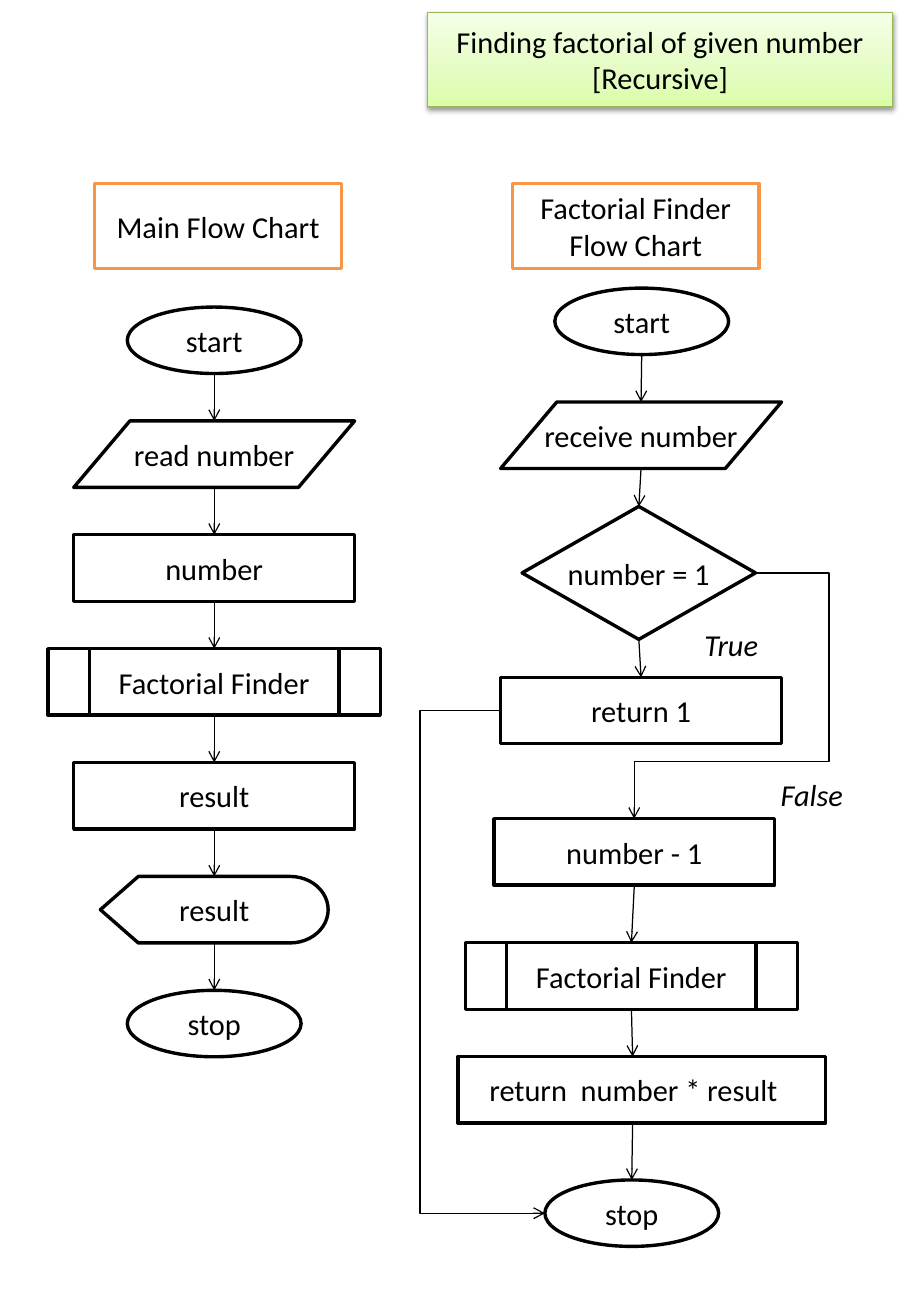
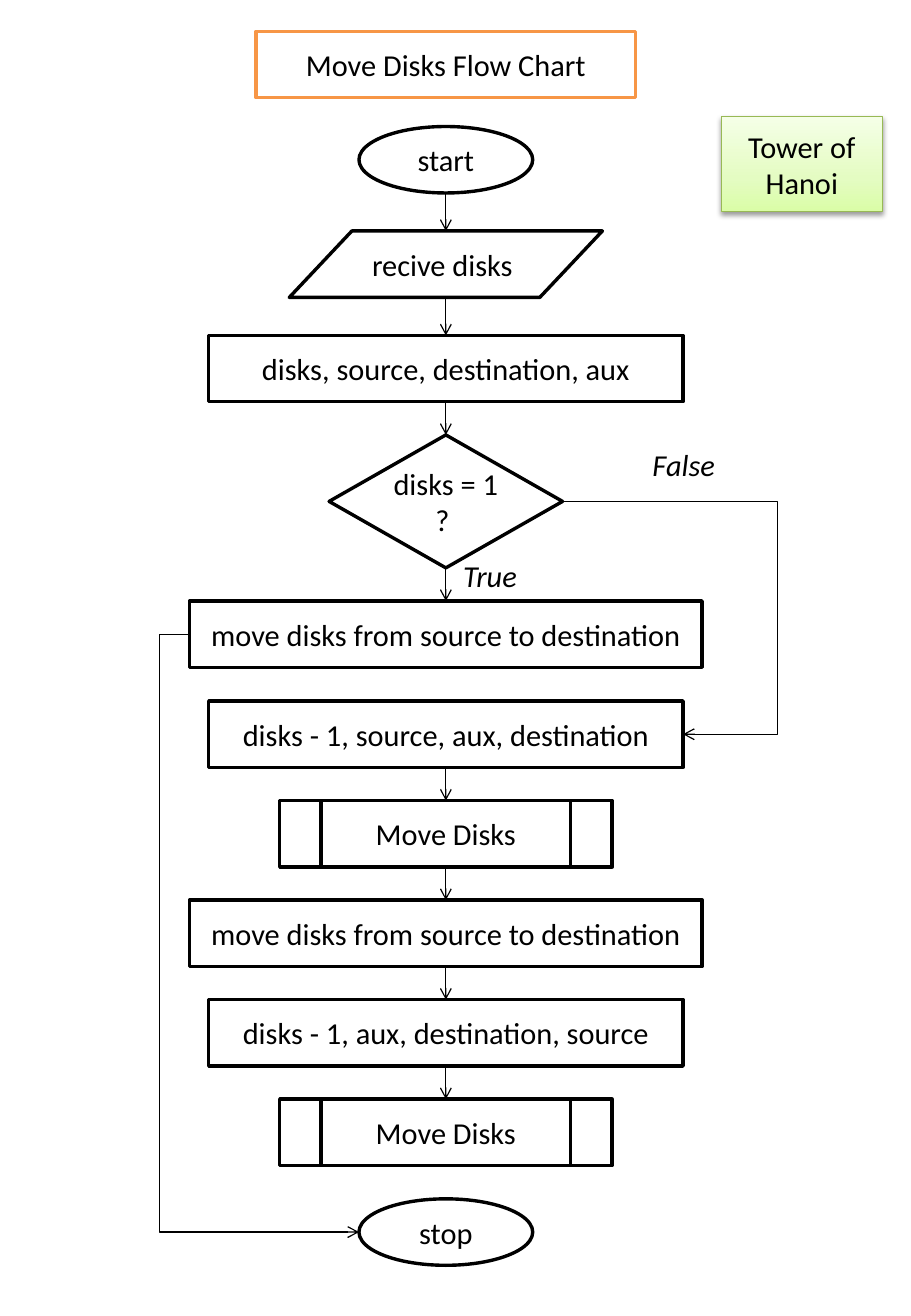
from pptx import Presentation
from pptx.dml.color import RGBColor
from pptx.enum.shapes import MSO_CONNECTOR, MSO_SHAPE
from pptx.enum.text import MSO_ANCHOR, MSO_AUTO_SIZE, PP_ALIGN
from pptx.oxml import parse_xml
from pptx.oxml.ns import nsdecls, qn
from pptx.util import Pt

# Shared look
BLACK, WHITE, ORANGE, GREEN = "000000", "FFFFFF", "F79646", "98B955"
FONT, TEXT_SIZE = "Calibri", 18
BOX_HEIGHT = 39.4
TITLE_FILL = f"""<a:gradFill {nsdecls('a')} rotWithShape="1"><a:gsLst>
<a:gs pos="0"><a:srgbClr val="DAFDA7"/></a:gs>
<a:gs pos="35000"><a:srgbClr val="E4FCC2"/></a:gs>
<a:gs pos="100000"><a:srgbClr val="F5FFE7"/></a:gs>
</a:gsLst><a:lin ang="16200000" scaled="0"/></a:gradFill>"""
TITLE_SHADOW = f"""<a:effectLst {nsdecls('a')}>
<a:outerShdw blurRad="40000" dist="20000" dir="5400000" rotWithShape="0">
<a:srgbClr val="000000"><a:alpha val="38000"/></a:srgbClr></a:outerShdw></a:effectLst>"""

# Flow chart symbols
TERMINAL = MSO_SHAPE.OVAL
DATA = MSO_SHAPE.FLOWCHART_DATA
STEP = MSO_SHAPE.RECTANGLE
CALL = MSO_SHAPE.FLOWCHART_PREDEFINED_PROCESS
DECISION = MSO_SHAPE.FLOWCHART_DECISION
DISPLAY = MSO_SHAPE.FLOWCHART_DISPLAY

# Sides of a box: share of width, share of height, connection site
SIDES = {"top": (0.5, 0, 0), "left": (0, 0.5, 1), "right": (1, 0.5, 3)}

# Chains: first top, centres, gaps, boxes (symbol, text, width)
# Elbows: from (chain, box), side, to (chain, box), side, turning x, turning y
charts = [
    {
        "title": ("Finding factorial of given number [Recursive]", 253.4, 7.2, 275.8, 56.2),
        "headings": [
            ("Main Flow Chart", 56.2, 108.7, 146.2, 50.4),
            ("Factorial Finder Flow Chart", 303.8, 108.7, 146.2, 50.4),
        ],
        "chains": [
            (182, [127] * 7, [28.1] * 6, [
                (TERMINAL, "start", 103),
                (DATA, "read number", 166.5),
                (STEP, "number", 166.5),
                (CALL, "Factorial Finder", 197),
                (STEP, "result", 166.5),
                (DISPLAY, "result", 135),
                (TERMINAL, "stop", 103),
            ]),
            (170.8, [380.4, 380, 378.7, 380], [28.1, 22.5, 22.5], [
                (TERMINAL, "start", 103),
                (DATA, "receive number", 166.5),
                (DECISION, "number = 1", 138.4),
                (STEP, "return 1", 166.5),
            ]),
            (485.3, [376, 374.3, 375, 374.5], [34.1, 28.1, 33.7], [
                (STEP, "number - 1", 166.5),
                (CALL, "Factorial Finder", 197),
                (STEP, "return  number * result", 218),
                (TERMINAL, "stop", 103),
            ]),
        ],
        "elbows": [
            ((1, 3), "left", (2, 3), "left", 249, None),
            ((1, 2), "right", (2, 0), "top", 491.5, 451.5),
        ],
        "labels": [("True", 410.4, 367.4, 47), ("False", 455.6, 456.5, 52)],
    },
    {
        "title": ("Tower of Hanoi", 427.5, 69.2, 95.6, 56.2),
        "headings": [("Move Disks Flow Chart", 151.8, 18.6, 225, BOX_HEIGHT)],
        "chains": [
            (75, [264.3] * 5, [22.5, 22.5, 19.6, 19.6], [
                (TERMINAL, "start", 103),
                (DATA, "recive disks ", 185.6),
                (STEP, "disks, source, destination, aux", 281.2),
                (DECISION, "disks = 1\n? ", 138.4),
                (STEP, "move disks from source to destination", 303.8),
            ]),
            (415.5, [264.3] * 5, [19.6] * 4, [
                (STEP, "disks - 1, source, aux, destination", 281.2),
                (CALL, "Move Disks", 197),
                (STEP, "move disks from source to destination", 303.8),
                (STEP, "disks - 1, aux, destination, source", 281.2),
                (CALL, "Move Disks", 197),
            ]),
            (710.6, [264.3], [], [(TERMINAL, "stop", 103)]),
        ],
        "elbows": [
            ((0, 4), "left", (2, 0), "left", 94.5, None),
            ((0, 3), "right", (1, 0), "right", 461, None),
        ],
        "labels": [("True", 267.4, 326.9, 47), ("False", 379.7, 260.6, 52)],
    },
]


def draw_box(page, symbol, text, frame, line_color, wrap):
    box = page.shapes.add_shape(symbol, *map(Pt, frame))
    box.shadow.inherit = False
    box.fill.solid()
    box.fill.fore_color.rgb = RGBColor.from_string(WHITE)
    box.line.color.rgb = RGBColor.from_string(line_color)
    box.line.width = Pt(2)
    box.text_frame.word_wrap = wrap
    box.text_frame.vertical_anchor = MSO_ANCHOR.MIDDLE
    box.text_frame.text = text
    for para in box.text_frame.paragraphs:
        para.alignment = PP_ALIGN.CENTER
        para.font.name, para.font.size = FONT, Pt(TEXT_SIZE)
        para.font.color.rgb = RGBColor.from_string(BLACK)
    return box


def draw_arrow(page, kind, start, end):
    arrow = page.shapes.add_connector(kind, *start, *end)
    arrow.line.color.rgb = RGBColor.from_string(BLACK)
    arrow.line.width = Pt(0.75)
    properties = arrow._element.spPr
    properties.find(qn("a:ln")).append(parse_xml(f'<a:tailEnd {nsdecls("a")} type="arrow"/>'))
    properties.append(parse_xml(f'<a:effectLst {nsdecls("a")}/>'))
    return arrow


deck = Presentation()
deck.slide_width, deck.slide_height = Pt(540), Pt(780)

for chart in charts:
    page = deck.slides.add_slide(deck.slide_layouts[5])

    # Title
    text, *frame = chart["title"]
    title = page.shapes.title
    title.left, title.top, title.width, title.height = map(Pt, frame)
    properties = title._element.spPr
    properties.append(parse_xml(TITLE_FILL))
    title.line.color.rgb = RGBColor.from_string(GREEN)
    title.line.width = Pt(0.75)
    properties.append(parse_xml(TITLE_SHADOW))
    title.text_frame.text = text
    title.text_frame.word_wrap = True
    title.text_frame.auto_size = MSO_AUTO_SIZE.NONE
    title.text_frame.vertical_anchor = MSO_ANCHOR.MIDDLE
    para = title.text_frame.paragraphs[0]
    para.alignment = PP_ALIGN.CENTER
    para.font.name, para.font.size = FONT, Pt(TEXT_SIZE)
    para.font.color.rgb = RGBColor.from_string(BLACK)

    # Headings
    for text, *frame in chart["headings"]:
        draw_box(page, STEP, text, frame, ORANGE, True)

    # Chains of boxes with straight arrows
    chains = []
    for top, centres, gaps, rows in chart["chains"]:
        boxes = []
        for (symbol, text, width), centre, gap in zip(rows, centres, gaps + [0]):
            height = BOX_HEIGHT * (2 if symbol == DECISION else 1)
            frame = (centre - width / 2, top, width, height)
            boxes.append(draw_box(page, symbol, text, frame, BLACK, False))
            top += height + gap
        for upper, lower in zip(boxes, boxes[1:]):
            start = (upper.left + upper.width // 2, upper.top + upper.height)
            end = (lower.left + lower.width // 2, lower.top)
            draw_arrow(page, MSO_CONNECTOR.STRAIGHT, start, end)
        chains.append(boxes)

    # Bent arrows
    for source, source_side, target, target_side, turn_x, turn_y in chart["elbows"]:
        ends, sites = [], []
        for (chain, index), side in ((source, source_side), (target, target_side)):
            box = chains[chain][index]
            across, down, site = SIDES[side]
            ends.append((box.left + int(box.width * across), box.top + int(box.height * down)))
            sites.append((box, site))
        start, end = ends
        elbow = draw_arrow(page, MSO_CONNECTOR.ELBOW, start, end)
        elbow.begin_connect(*sites[0])
        elbow.end_connect(*sites[1])
        if sites[1][0].auto_shape_type == TERMINAL:
            # The left site of an oval is number 2
            elbow._element.find(".//" + qn("a:endCxn")).set("idx", "2")
        turns = [(Pt(turn_x) - start[0]) / (end[0] - start[0])]
        if turn_y:
            turns.append((Pt(turn_y) - start[1]) / (end[1] - start[1]))
        geometry = elbow._element.spPr.find(qn("a:prstGeom"))
        geometry.set("prst", f"bentConnector{len(turns) + 2}")
        guides = "".join(
            f'<a:gd name="adj{number}" fmla="val {round(turn * 100000)}"/>'
            for number, turn in enumerate(turns, 1))
        geometry.remove(geometry.find(qn("a:avLst")))
        geometry.append(parse_xml(f'<a:avLst {nsdecls("a")}>{guides}</a:avLst>'))

    # Branch labels
    for text, left, top, width in chart["labels"]:
        label = page.shapes.add_textbox(Pt(left), Pt(top), Pt(width), Pt(29))
        label.text_frame.word_wrap = False
        para = label.text_frame.paragraphs[0]
        para.text = text
        para.font.name, para.font.size, para.font.italic = FONT, Pt(TEXT_SIZE), True
        para.font.color.rgb = RGBColor.from_string(BLACK)

    # The recursive return box reaches further right than its chain
    if chart is charts[0]:
        return_box = chains[2][2]
        return_box.left += Pt(5.5)
        return_box.text_frame.margin_right = Pt(17)

deck.save("out.pptx")
